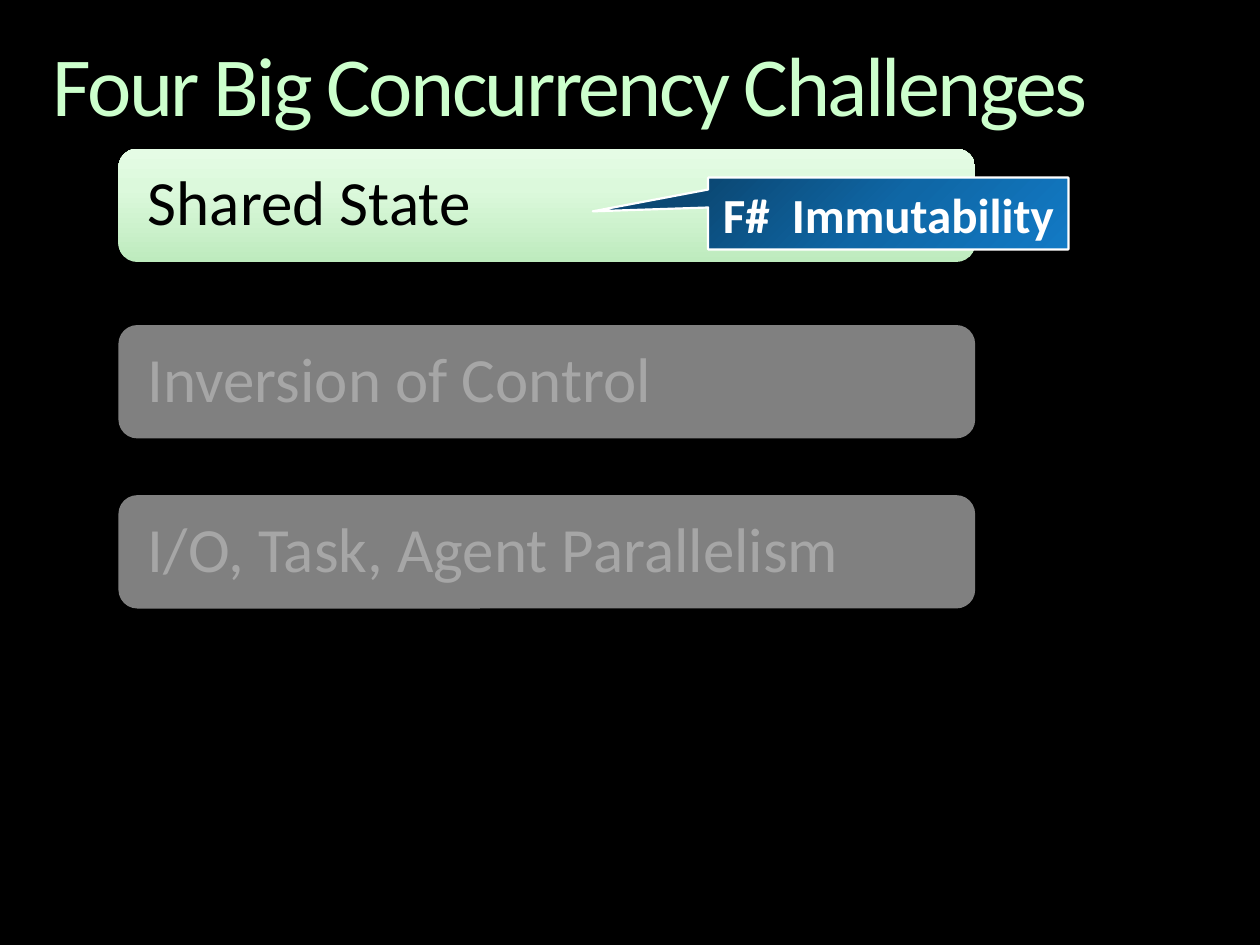
from copy import deepcopy

from pptx import Presentation
from pptx.dml.color import RGBColor
from pptx.enum.shapes import MSO_SHAPE
from pptx.enum.text import MSO_ANCHOR, PP_ALIGN
from pptx.oxml.ns import qn
from pptx.util import Inches, Pt

COLS, ROWS = 100, 75
CELL = Inches(0.1)

BLACK = RGBColor(0x00, 0x00, 0x00)
WHITE = RGBColor(0xFF, 0xFF, 0xFF)
MINT = RGBColor(0xCC, 0xFF, 0xCC)
GREY = RGBColor(0x80, 0x80, 0x80)
SILVER = RGBColor(0xA6, 0xA6, 0xA6)
GREENS = [(0, RGBColor(0xBE, 0xEB, 0xBE)),
          (0.65, RGBColor(0xDC, 0xF9, 0xDC)),
          (1, RGBColor(0xE5, 0xFC, 0xE5))]
BLUES = [(0, RGBColor(0x0B, 0x48, 0x74)),
         (0.5, RGBColor(0x0F, 0x67, 0xA6)),
         (1, RGBColor(0x12, 0x7A, 0xC5))]


def grid(box):
    """Turn columns and rows into slide lengths."""
    return [round(n * CELL) for n in box]


def blend(shape, stops, angle):
    """Fill with a three-stop gradient; the angle runs counter-clockwise."""
    shape.fill.gradient()
    shape.fill.gradient_angle = angle
    marks = shape._element.spPr.find(qn("a:gradFill")).find(qn("a:gsLst"))
    marks.append(deepcopy(marks[0]))
    for mark, (place, color) in zip(shape.fill.gradient_stops, stops):
        mark.position = place
        mark.color.rgb = color


def write(shape, text, size, color, inset=None, wrap=True):
    """Set one paragraph and return it."""
    frame = shape.text_frame
    frame.word_wrap = wrap
    if inset is not None:
        frame.margin_left = frame.margin_right = inset
        frame.margin_top = frame.margin_bottom = inset
    para = frame.paragraphs[0]
    para.text = text
    para.font.name = "Calibri"
    para.font.size = Pt(size)
    para.font.color.rgb = color
    return para


def title(slide, box, text):
    label = slide.shapes.add_textbox(*grid(box))
    para = write(label, text, 48, MINT, inset=0)
    para.line_spacing = 0.9
    para.runs[0]._r.get_or_add_rPr().set("spc", "-150")


def bar(slide, box, text, active):
    shape = slide.shapes.add_shape(MSO_SHAPE.ROUNDED_RECTANGLE, *grid(box))
    shape.shadow.inherit = False
    shape.line.fill.background()
    if active:
        blend(shape, GREENS, 90)
    else:
        shape.fill.solid()
        shape.fill.fore_color.rgb = GREY
    para = write(shape, text, 36, BLACK if active else SILVER, Inches(0.19))
    para.alignment = PP_ALIGN.LEFT
    para.line_spacing = 0.9
    shape.text_frame.vertical_anchor = MSO_ANCHOR.MIDDLE


def bars(slide, box, items):
    """Stack the bars: box gives the left, width and height of each."""
    left, width, height = box
    for top, text, active in items:
        bar(slide, (left, top, width, height), text, active)


def callout(slide, box, text):
    shape = slide.shapes.add_shape(MSO_SHAPE.RECTANGULAR_CALLOUT, *grid(box))
    shape.shadow.inherit = False
    shape.adjustments[0] = -0.82
    shape.adjustments[1] = -0.03
    blend(shape, BLUES, 315)
    shape.line.color.rgb = WHITE
    shape.line.width = Pt(1.25)
    para = write(shape, text, 28, WHITE, wrap=False)
    para.font.bold = True
    para.alignment = PP_ALIGN.CENTER
    shape.text_frame.vertical_anchor = MSO_ANCHOR.MIDDLE


def main():
    deck = Presentation()
    deck.slide_width, deck.slide_height = grid((COLS, ROWS))
    slide = deck.slides.add_slide(deck.slide_layouts[6])
    slide.background.fill.solid()
    slide.background.fill.fore_color.rgb = BLACK

    title(slide, (4.2, 3.5, 91.7, 6.1), "Four Big Concurrency Challenges")
    bars(slide, (9.4, 68, 9), [
        (11.8, "Shared State", True),
        (25.8, "Inversion of Control", False),
        (39.3, "I/O, Task, Agent Parallelism", False),
    ])
    callout(slide, (56.2, 14.1, 28.6, 5.7), "F#  Immutability")
    deck.save("out.pptx")


if __name__ == "__main__":
    main()
